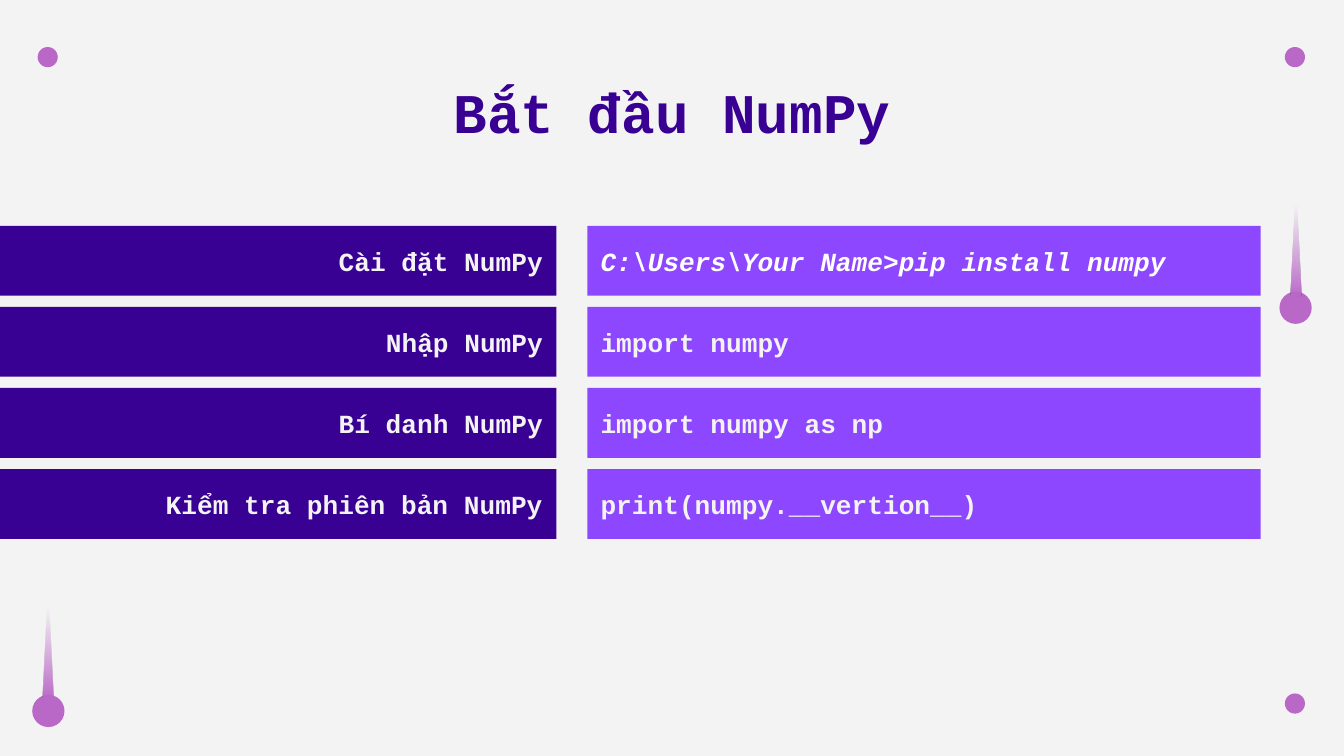
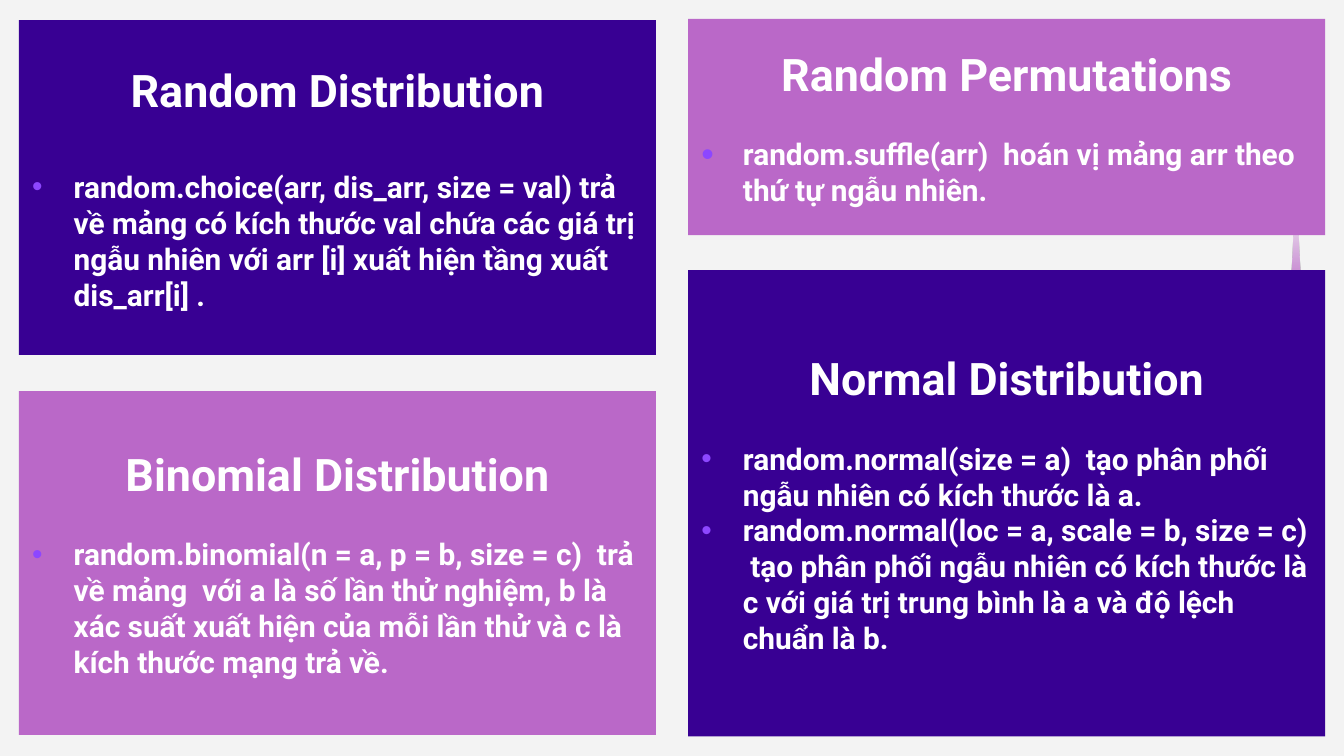
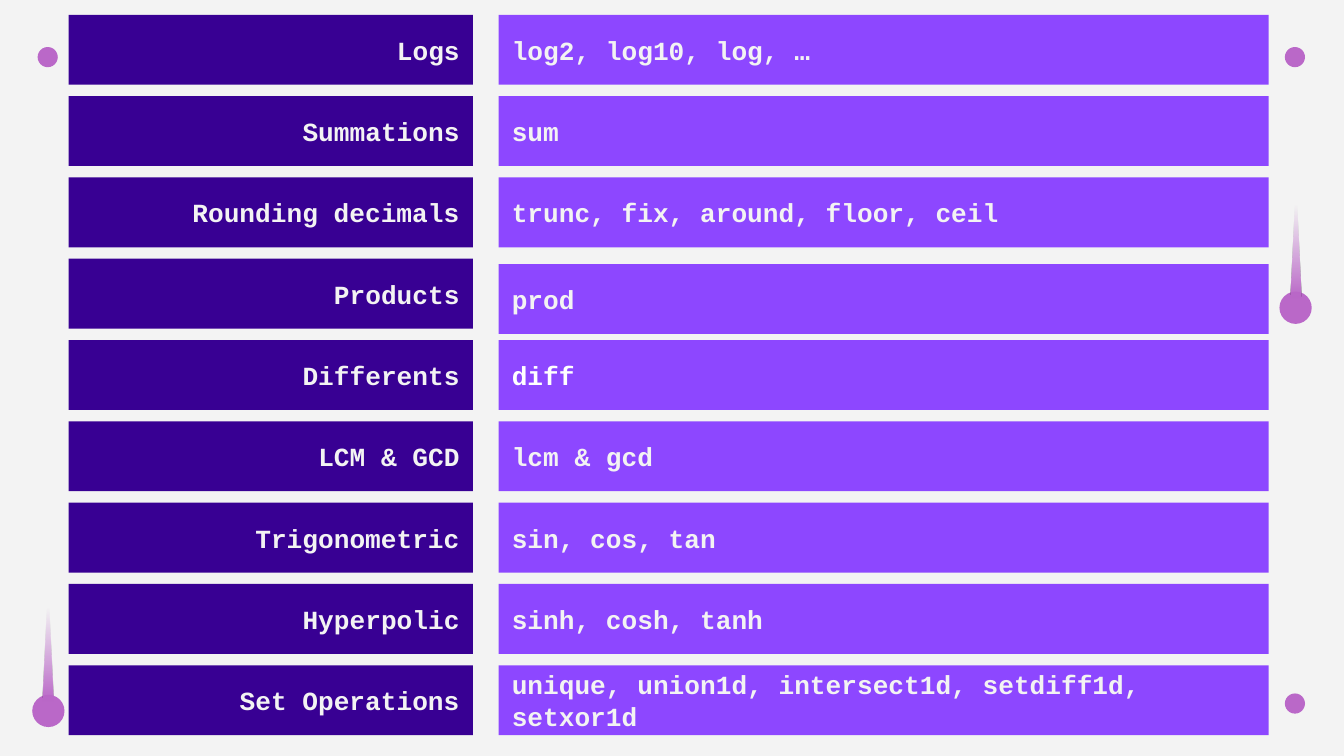
from lxml.etree import SubElement as Sub
from pptx import Presentation
from pptx.dml.color import RGBColor as RGB
from pptx.enum.shapes import MSO_SHAPE as Geo
from pptx.enum.text import MSO_ANCHOR as Anchor, MSO_AUTO_SIZE as Fit, PP_ALIGN as Align
from pptx.oxml.ns import qn
from pptx.util import Inches, Pt

HUES = {
    "back": "F3F3F3",
    "deep": "380093",
    "vivid": "8D47FF",
    "orchid": "BA68C8",
    "white": "FFFFFF",
}


def hue(name):
    return RGB.from_string(HUES[name])


class Deck:
    code, sans = "Courier New", "Roboto"
    title_only, blank = 5, 6

    def __init__(self):
        self.prs = Presentation()
        self.prs.slide_width = Inches(10)
        self.prs.slide_height = Inches(10) * 9 // 16
        fill = self.prs.slide_master.background.fill
        fill.solid()
        fill.fore_color.rgb = hue("back")

    def page(self, layout=blank):
        self.slide = self.prs.slides.add_slide(self.prs.slide_layouts[layout])

    # Basic elements
    def shape(self, geo, x, y, w, h, color):
        item = self.slide.shapes.add_shape(
            geo, Inches(x), Inches(y), Inches(w), Inches(h))
        item.shadow.inherit = False
        item.line.fill.background()
        item.fill.solid()
        item.fill.fore_color.rgb = hue(color)
        return item

    def frame(self, item, anchor):
        box = item.text_frame
        box.word_wrap = True
        box.auto_size = Fit.NONE
        box.vertical_anchor = anchor
        box.margin_left = box.margin_right = Inches(0.1)
        box.margin_top = box.margin_bottom = Inches(0.1)
        return box

    def style(self, para, text, size, face, color, align=Align.LEFT):
        para.text = text
        para.alignment = align
        font = para.font
        font.name, font.size, font.bold = face, Pt(size), True
        font.color.rgb = hue(color)

    def bullet(self, para, scale):
        props = para._p.get_or_add_pPr()
        props.set("marL", str(Inches(0.31)))
        props.set("indent", str(-Inches(0.31)))
        # Schema order puts the bullet ahead of the paragraph font
        marks = [Sub(props, qn("a:buClr")), Sub(props, qn("a:buSzPct")),
                 Sub(props, qn("a:buFont")), Sub(props, qn("a:buChar"))]
        Sub(marks[0], qn("a:srgbClr")).set("val", HUES["vivid"])
        marks[1].set("val", str(scale * 1000))
        marks[2].set("typeface", "Arial")
        marks[3].set("char", "•")
        font = props.find(qn("a:defRPr"))
        if font is not None:
            props.append(font)

    # Decoration
    def dot(self, x, y, size=0.15):
        self.shape(Geo.OVAL, x, y, size, size, "orchid")

    def tail(self, x, y):
        item = self.shape(Geo.ISOSCELES_TRIANGLE, x, y, 0.08, 0.87, "orchid")
        item.fill.gradient()
        item.fill.gradient_angle = 90
        stops = item.fill.gradient_stops
        for stop, place in zip(stops, (0, 0.8)):
            stop.color.rgb = hue("orchid")
            stop.position = place
        last = list(item.element.spPr.iter(qn("a:srgbClr")))[-1]
        Sub(last, qn("a:alpha")).set("val", "0")

    def comet(self, x, y):
        self.dot(x, y + 0.82, 0.24)
        self.tail(x + 0.08, y)

    def decor(self):
        self.comet(9.52, 1.35)
        self.comet(0.24, 4.35)
        for x, y in ((9.56, 5.16), (0.28, 0.35), (9.56, 0.35)):
            self.dot(x, y)

    # Slide parts
    def title(self, text):
        item = self.slide.shapes.title
        item.left, item.top = Inches(0.78), Inches(0.59)
        item.width, item.height = Inches(8.44), Inches(0.59)
        box = self.frame(item, Anchor.BOTTOM)
        self.style(box.paragraphs[0], text, 30, self.code, "deep", Align.CENTER)

    def bar(self, x, y, w, text, fill, align, color="back", italic=None):
        item = self.shape(Geo.RECTANGLE, x, y, w, 0.52, fill)
        para = self.frame(item, Anchor.MIDDLE).paragraphs[0]
        self.style(para, text, 14, self.code, color, align)
        para.font.italic = italic

    def rows(self, left, right, first, last, pairs):
        """Label and code bars at equal steps; left and right are (x, width)."""
        step = (last - first) / (len(pairs) - 1)
        for i, (label, code, *more) in enumerate(pairs):
            look = dict(more[0]) if more else {}
            y = first + i * step
            drop = look.pop("drop", 0)
            self.bar(left[0], y, left[1], label, "deep", Align.RIGHT)
            self.bar(right[0], y + drop, right[1], code, "vivid", Align.LEFT, **look)

    def card(self, x, y, h, fill, head, points, gap=19, scale=100):
        item = self.shape(Geo.RECTANGLE, x, y, 4.74, h, fill)
        box = self.frame(item, Anchor.MIDDLE)
        para = box.paragraphs[0]
        self.style(para, head, 24, self.sans, "white", Align.CENTER)
        para.space_after = Pt(gap)
        for point in points:
            para = box.add_paragraph()
            self.style(para, point, 16, self.sans, "white")
            self.bullet(para, scale)


deck = Deck()

# Slide 1: getting started
deck.page(Deck.title_only)
deck.decor()
deck.title("Bắt đầu NumPy")
deck.rows((0, 4.14), (4.37, 5.01), 1.68, 3.49, [
    ("Cài đặt NumPy", "C:\\Users\\Your Name>pip install numpy",
     {"color": "white", "italic": True}),
    ("Nhập NumPy", "import numpy"),
    ("Bí danh NumPy", "import numpy as np"),
    ("Kiểm tra phiên bản NumPy", "print(numpy.__vertion__)"),
])

# Slide 2: random functions
deck.page()
deck.tail(9.6, 1.35)
west, east = 0.14, 5.12
deck.card(west, 0.15, 2.49, "deep", "Random Distribution", [
    "random.choice(arr, dis_arr, size = val) trả về mảng có kích thước val "
    "chứa các giá trị ngẫu nhiên với arr [i] xuất hiện tầng xuất dis_arr[i] .",
], gap=28)
deck.card(west, 2.91, 2.56, "orchid", "Binomial Distribution", [
    "random.binomial(n = a, p = b, size = c)  trả về mảng  với a là số lần thử "
    "nghiệm, b là xác suất xuất hiện của mỗi lần thử và c là kích thước mạng "
    "trả về.",
])
deck.card(east, 0.14, 1.61, "orchid", "Random Permutations", [
    "random.suffle(arr)  hoán vị mảng arr theo thứ tự ngẫu nhiên.",
], scale=120)
deck.card(east, 2.01, 3.47, "deep", "Normal Distribution", [
    "random.normal(size = a)  tạo phân phối ngẫu nhiên có kích thước là a.",
    "random.normal(loc = a, scale = b, size = c)  tạo phân phối ngẫu nhiên có "
    "kích thước là c với giá trị trung bình là a và độ lệch chuẩn là b.",
])

# Slide 3: universal functions
deck.page()
deck.decor()
deck.rows((0.51, 3.01), (3.71, 5.73), 0.11, 4.95, [
    ("Logs", "log2, log10, log, …"),
    ("Summations", "sum"),
    ("Rounding decimals", "trunc, fix, around, floor, ceil"),
    ("Products", "prod", {"drop": 0.04}),
    ("Differents", "diff", {"color": "white"}),
    ("LCM & GCD", "lcm & gcd"),
    ("Trigonometric", "sin, cos, tan"),
    ("Hyperpolic", "sinh, cosh, tanh"),
    ("Set Operations", "unique, union1d, intersect1d, setdiff1d, setxor1d"),
])

deck.prs.save("out.pptx")
